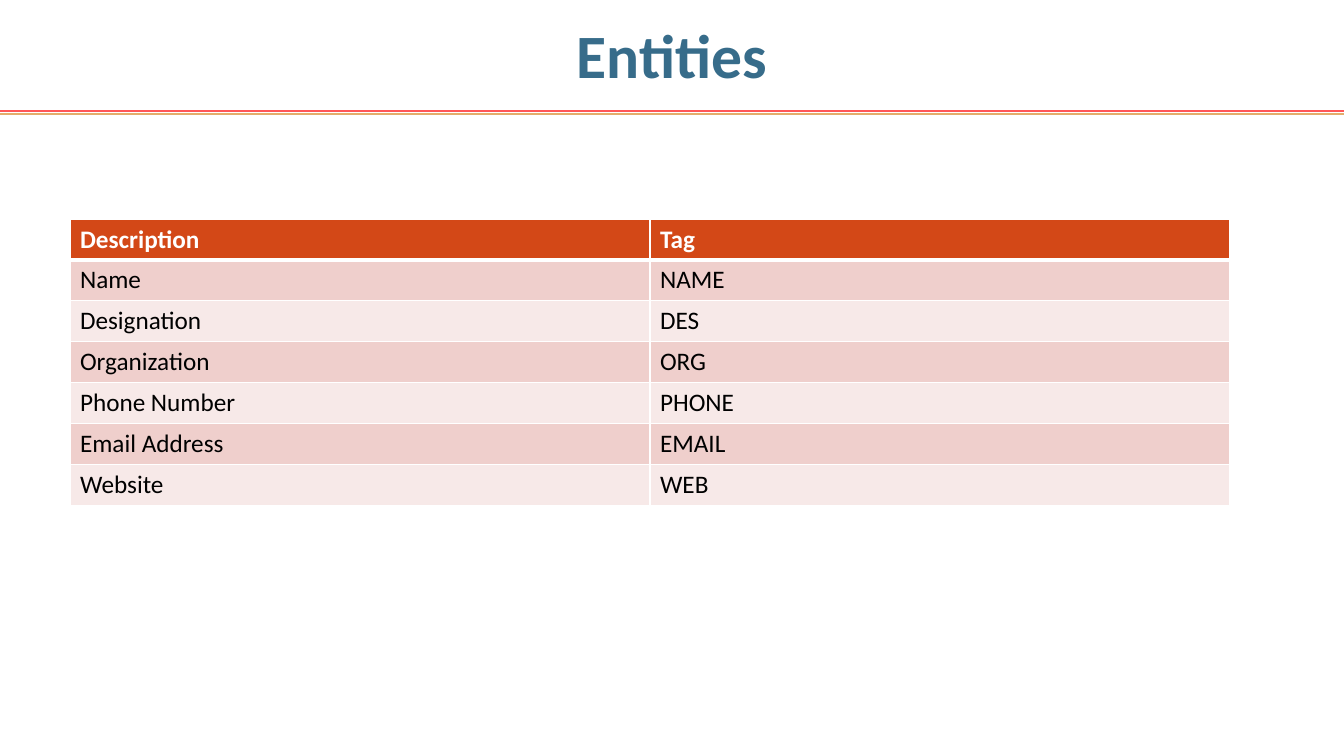
from lxml.etree import SubElement
from pptx import Presentation
from pptx.dml.color import RGBColor
from pptx.enum.shapes import MSO_CONNECTOR as Connector
from pptx.enum.text import MSO_ANCHOR as Anchor, PP_ALIGN as Align
from pptx.oxml.ns import qn
from pptx.util import Pt

EMU_PER_PX = 914400 / 100.8
WIDTH, HEIGHT = 1344, 756
ENTITIES = [
    ("Description", "Tag"),
    ("Name", "NAME"),
    ("Designation", "DES"),
    ("Organization", "ORG"),
    ("Phone Number", "PHONE"),
    ("Email Address", "EMAIL"),
    ("Website", "WEB"),
]


def px(length):
    return round(length * EMU_PER_PX)


def color(value):
    return RGBColor.from_string(value)


def write(frame, text, size=18, fill="000000", bold=False, align=Align.LEFT, spacing=1.0):
    paragraph = frame.paragraphs[0]
    paragraph.alignment = align
    paragraph.line_spacing = spacing
    run = paragraph.add_run()
    run.text = text
    run.font.name = "Calibri"
    run.font.size = Pt(size)
    run.font.bold = bold
    run.font.color.rgb = color(fill)


def add_heading(slide, text, left, top, width, height):
    heading = slide.shapes.title
    heading.left, heading.top = px(left), px(top)
    heading.width, heading.height = px(width), px(height)
    heading.text_frame.word_wrap = True
    heading.text_frame.vertical_anchor = Anchor.MIDDLE
    write(heading.text_frame, text, size=44, fill="376C8A", bold=True,
          align=Align.CENTER, spacing=0.9)


def add_divider(slide, left, top, width):
    for offset, stroke, weight in ((0, "FF5657", 2), (3, "E3AD6B", 1.5)):
        y = px(top + offset)
        rule = slide.shapes.add_connector(Connector.STRAIGHT, px(left), y, px(left + width), y)
        rule.line.color.rgb = color(stroke)
        rule.line.width = Pt(weight)
        SubElement(rule._element.spPr, qn("a:effectLst"))


def add_border(cell, side, weight):
    border = SubElement(cell._tc.get_or_add_tcPr(), qn(f"a:ln{side}"), w=str(Pt(weight)))
    solid = SubElement(border, qn("a:solidFill"))
    SubElement(solid, qn("a:srgbClr"), val="FFFFFF")


def add_entity_table(slide, entities, left, top, width, height):
    table = slide.shapes.add_table(len(entities), len(entities[0]), px(left), px(top),
                                   px(width), px(height)).table
    for row_index, entity in enumerate(entities):
        header = row_index == 0
        background = "D34817" if header else ("F7E9E8", "EFCFCC")[row_index % 2]
        weights = {"L": 1, "R": 1, "T": 3 if row_index == 1 else 1, "B": 3 if header else 1}
        for column_index, text in enumerate(entity):
            cell = table.cell(row_index, column_index)
            for side, weight in weights.items():
                add_border(cell, side, weight)
            cell.fill.solid()
            cell.fill.fore_color.rgb = color(background)
            write(cell.text_frame, text, fill="FFFFFF" if header else "000000", bold=header)


def main():
    deck = Presentation()
    deck.slide_width, deck.slide_height = px(WIDTH), px(HEIGHT)
    slide = deck.slides.add_slide(deck.slide_layouts[5])
    add_divider(slide, 0, 111, WIDTH)
    add_heading(slide, "Entities", 92, 7, 1160, 103)
    add_entity_table(slide, ENTITIES, 70, 219, 1160, 286)
    deck.save("out.pptx")


if __name__ == "__main__":
    main()
